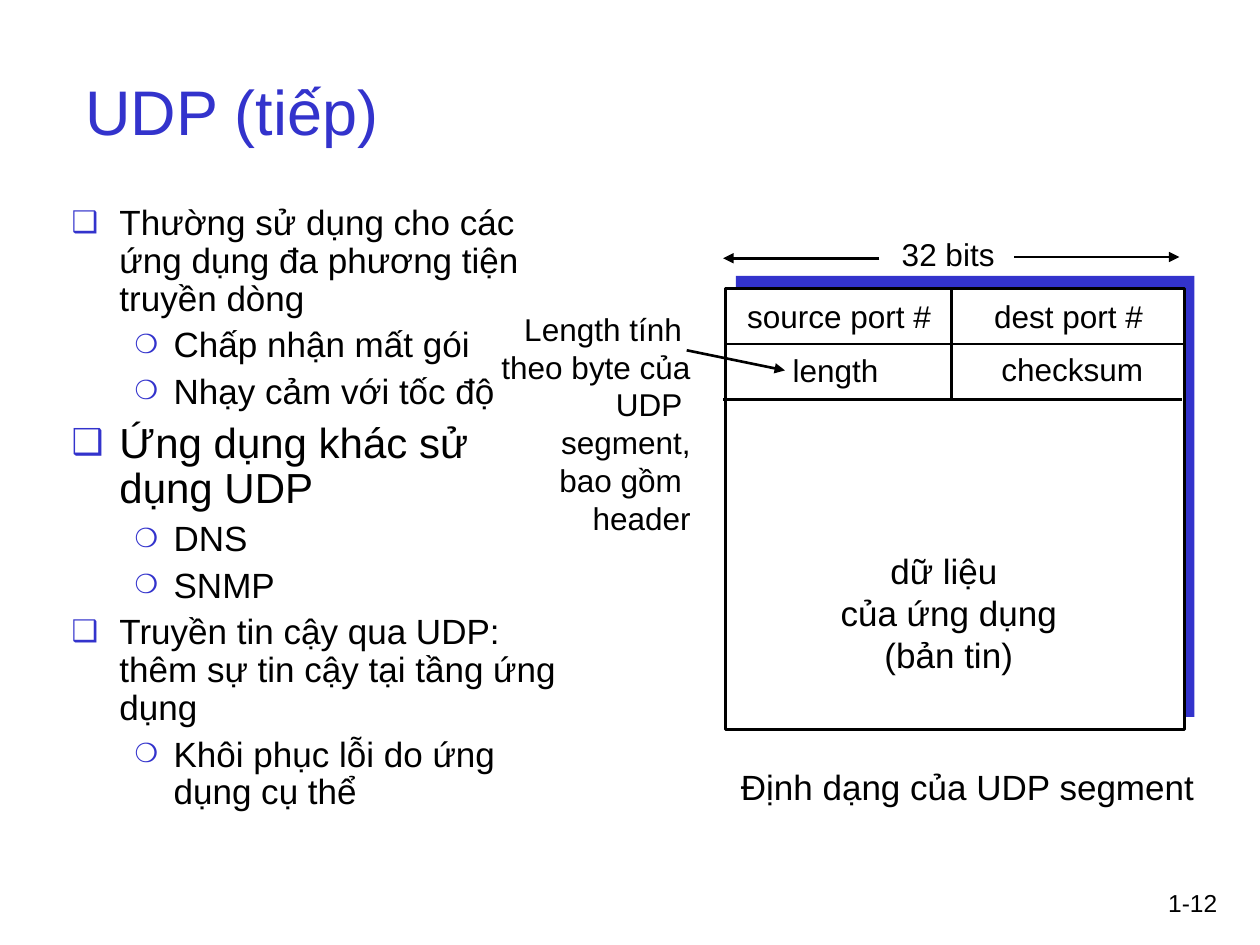
from lxml import etree
from pptx import Presentation
from pptx.dml.color import RGBColor
from pptx.enum.shapes import MSO_CONNECTOR, MSO_SHAPE
from pptx.enum.text import MSO_ANCHOR, MSO_AUTO_SIZE, PP_ALIGN
from pptx.oxml.ns import qn
from pptx.util import Inches, Pt

LEFT, CENTER, RIGHT = PP_ALIGN.LEFT, PP_ALIGN.CENTER, PP_ALIGN.RIGHT
TOP, MIDDLE = MSO_ANCHOR.TOP, MSO_ANCHOR.MIDDLE
FIXED, GROW = MSO_AUTO_SIZE.NONE, MSO_AUTO_SIZE.SHAPE_TO_FIT_TEXT
RECTANGLE, STRAIGHT = MSO_SHAPE.RECTANGLE, MSO_CONNECTOR.STRAIGHT
BLUE, BLACK, WHITE = "3333CC", "000000", "FFFFFF"


def color(hex_text):
    return RGBColor.from_string(hex_text)


def add_text(text, at, size=18, align=CENTER, anchor=TOP, fill=BLACK, wrap=False):
    """Add a text box with one paragraph for each line of text."""
    box = page.shapes.add_textbox(*(Inches(value) for value in at))
    frame = box.text_frame
    frame.word_wrap = wrap
    frame.auto_size = FIXED if wrap else GROW
    frame.vertical_anchor = anchor
    frame.text = text
    for para in frame.paragraphs:
        para.alignment = align
        para.font.name = "Arial"
        para.font.size = Pt(size)
        para.font.color.rgb = color(fill)


deck = Presentation()
deck.slide_width, deck.slide_height = Inches(10), Inches(7.5)
page = deck.slides.add_slide(deck.slide_layouts[6])

# Page number and title
add_text("1-12", (9.08, 7, 0.68, 0.5), size=14, align=RIGHT, wrap=True)
add_text("UDP (tiếp)", (0.58, 0.25, 9.12, 1.25), size=36, align=LEFT,
         anchor=MIDDLE, fill=BLUE, wrap=True)

# Bulleted list: level, size, text
points = [
    (0, 20, "Thường sử dụng cho các ứng dụng đa phương tiện truyền dòng"),
    (1, 20, "Chấp nhận mất gói"),
    (1, 20, "Nhạy cảm với tốc độ"),
    (0, 24, "Ứng dụng khác sử dụng UDP"),
    (1, 20, "DNS"),
    (1, 20, "SNMP"),
    (0, 20, "Truyền tin cậy qua UDP: thêm sự tin cậy tại tầng ứng dụng"),
    (1, 20, "Khôi phục lỗi do ứng dụng cụ thể"),
]
# Bullet sign, its size, left margin and hanging indent of each level
levels = [("❑", "85000", 0.38, 0.38), ("❍", "75000", 0.81, 0.31)]
body = page.shapes.add_textbox(Inches(0.47), Inches(1.58), Inches(4.17), Inches(5.08))
body.text_frame.word_wrap = True
for index, (level, size, text) in enumerate(points):
    para = body.text_frame.add_paragraph() if index else body.text_frame.paragraphs[0]
    sign, sign_size, margin, hanging = levels[level]
    para.level = level
    para.line_spacing = 0.9
    if index:
        para.space_before = Pt(size / 4)
    properties = para._p.get_or_add_pPr()
    properties.set("marL", str(Inches(margin)))
    properties.set("indent", str(-Inches(hanging)))
    bullet_color = etree.SubElement(properties, qn("a:buClr"))
    etree.SubElement(bullet_color, qn("a:srgbClr"), val=BLUE)
    etree.SubElement(properties, qn("a:buSzPct"), val=sign_size)
    etree.SubElement(properties, qn("a:buFont"), typeface="Arial")
    etree.SubElement(properties, qn("a:buChar"), char=sign)
    span = para.add_run()
    span.text = text
    span.font.name = "Arial"
    span.font.size = Pt(size)
    span.font.color.rgb = color(BLACK)

# Segment frame over its blue backing
for left, top, fill in [(5.84, 2.19, BLUE), (5.76, 2.29, WHITE)]:
    panel = page.shapes.add_shape(RECTANGLE, Inches(left), Inches(top),
                                  Inches(3.64), Inches(3.5))
    panel.shadow.inherit = False
    panel.fill.solid()
    panel.fill.fore_color.rgb = color(fill)
    panel.line.fill.background()
panel.line.color.rgb = color(BLACK)
panel.line.width = Pt(1.5)

# Field dividers, width arrows and the pointer to the length field
lines = [
    (5.75, 2.73, 9.39, 2.73, False),
    (5.74, 3.17, 9.38, 3.17, False),
    (7.55, 2.29, 7.55, 3.17, False),
    (8.05, 2.04, 9.36, 2.04, True),
    (6.98, 2.05, 5.74, 2.05, True),
    (5.45, 2.78, 6.23, 2.94, True),
]
for *ends, arrow in lines:
    line = page.shapes.add_connector(STRAIGHT, *(Inches(value) for value in ends))
    line.line.color.rgb = color(BLACK)
    line.line.width = Pt(1.5)
    if arrow:
        etree.SubElement(line.line._get_or_add_ln(), qn("a:tailEnd"), type="triangle")
    etree.SubElement(line._element.spPr, qn("a:effectLst"))

# Segment labels
add_text("32 bits", (7.05, 1.82, 0.95, 0.4))
add_text("source port #", (5.83, 2.31, 1.66, 0.4))
add_text("dest port #", (7.79, 2.31, 1.38, 0.4))
add_text("length", (6.19, 2.74, 0.88, 0.4))
add_text("checksum", (7.84, 2.73, 1.34, 0.4))
add_text("dữ liệu \ncủa ứng dụng\n(bản tin)", (6.57, 4.31, 1.92, 1.1), size=20)
add_text("Định dạng của UDP segment", (5.78, 6.03, 3.8, 0.44), size=20)
add_text("Length tính \ntheo byte của\nUDP \nsegment,\nbao gồm \nheader",
         (3.88, 2.41, 1.7, 1.9), align=RIGHT)

deck.save("out.pptx")
